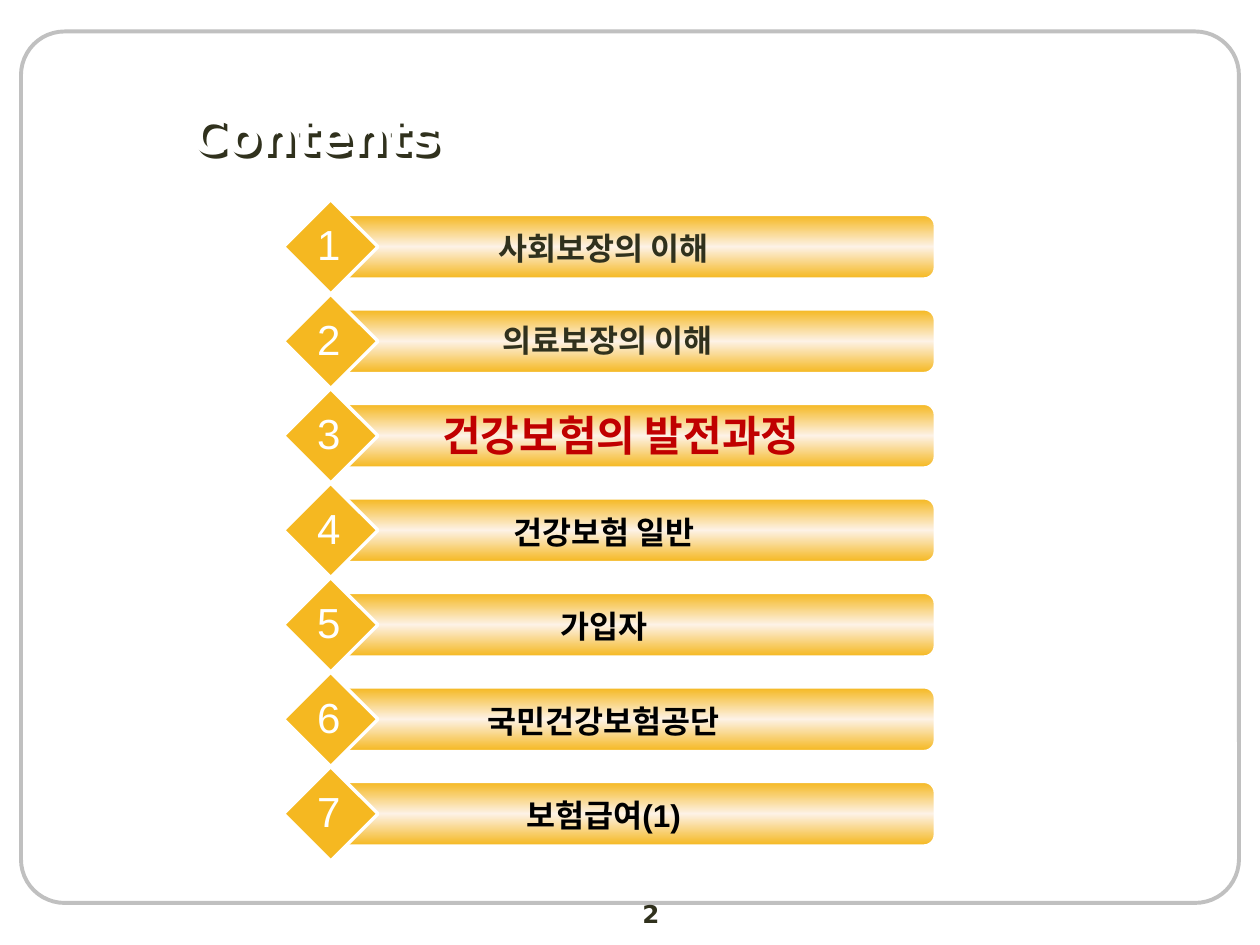
from copy import deepcopy
from typing import NamedTuple

from lxml import etree
from pptx import Presentation
from pptx.dml.color import RGBColor
from pptx.enum.shapes import MSO_SHAPE
from pptx.enum.text import MSO_ANCHOR, MSO_AUTO_SIZE, PP_ALIGN
from pptx.oxml.ns import qn
from pptx.util import Emu, Pt

ROUND, DIAMOND = MSO_SHAPE.ROUNDED_RECTANGLE, MSO_SHAPE.DIAMOND
CENTER, LEFT, MIDDLE = PP_ALIGN.CENTER, PP_ALIGN.LEFT, MSO_ANCHOR.MIDDLE
GROW = MSO_AUTO_SIZE.SHAPE_TO_FIT_TEXT
PX = 9525  # 96 px to the inch
GOLD, CREAM, WHITE, GRAY = "F5B821", "FDF2E6", "FFFFFF", "C0C0C0"
DARK, BLACK, RED = "30311D", "000000", "C00000"
SANS, HEAD, KOREAN = "Arial", "DejaVu Sans", "Noto Sans CJK KR"
TOP, STEP = 152, 72


class Box(NamedTuple):
    x: int
    y: int
    w: int
    h: int


class Font(NamedTuple):
    size: int
    color: str
    name: str = SANS
    bold: bool = False


class Item(NamedTuple):
    """One row; the y of its box is counted from the top of the row."""
    text: str
    font: Font
    box: Box = Box(280, 18, 360, 38)
    wrap: bool = True


PAST = Font(18, DARK, bold=True)
NEXT = Font(18, BLACK, bold=True)
ITEMS = [
    Item("사회보장의 이해", PAST),
    Item("의료보장의 이해", PAST, Box(368, 16, 190, 38), False),
    Item("건강보험의 발전과정", Font(24, RED, KOREAN, True), Box(293, 11, 360, 48)),
    Item("건강보험 일반", NEXT),
    Item("가입자", NEXT),
    Item("국민건강보험공단", NEXT),
    Item("보험급여(1)", NEXT),
]


def rgb(code: str) -> RGBColor:
    return RGBColor.from_string(code)


def emu(box: Box) -> list[Emu]:
    return [Emu(n * PX) for n in box]


def style(frame, text: str, font: Font, align=CENTER) -> None:
    frame.text = text
    par = frame.paragraphs[0]
    par.alignment = align
    run = par.runs[0]
    run.font.size, run.font.bold = Pt(font.size), font.bold
    run.font.name = font.name
    run.font.color.rgb = rgb(font.color)
    east = etree.SubElement(run.font._element, qn("a:ea"))
    east.set("typeface", KOREAN)


def label(slide, box: Box, text: str, font: Font, wrap=True, grow=True) -> None:
    frame = slide.shapes.add_textbox(*emu(box)).text_frame
    frame.word_wrap = wrap
    if grow:
        frame.auto_size = GROW
    style(frame, text, font)


def panel(slide, kind, box: Box, line: str, width: float):
    shape = slide.shapes.add_shape(kind, *emu(box))
    shape.shadow.inherit = False
    shape.fill.background()
    shape.line.color.rgb = rgb(line)
    shape.line.width = Pt(width)
    return shape


def shade(shape) -> None:
    """Fill with a vertical gold, cream, gold gradient."""
    fill = shape.fill
    fill.gradient()
    fill.gradient_angle = 90
    stops = shape._element.spPr.find(".//" + qn("a:gsLst"))
    stops.append(deepcopy(stops[0]))
    for stop, pos, code in zip(fill.gradient_stops, (0, 0.5, 1), (GOLD, CREAM, GOLD)):
        stop.position = pos
        stop.color.rgb = rgb(code)


def head(slide) -> None:
    title = slide.shapes.title
    title.left, title.top, title.width, title.height = emu(Box(136, 75, 768, 56))
    frame = title.text_frame
    frame.vertical_anchor = MIDDLE
    style(frame, "Contents", Font(28, WHITE, HEAD, True), LEFT)
    effects = etree.SubElement(title._element.spPr, qn("a:effectLst"))
    cast = etree.SubElement(effects, qn("a:outerShdw"), dist="35921", dir="2700000")
    etree.SubElement(cast, qn("a:srgbClr"), val=DARK)


def row(slide, num: int, item: Item) -> None:
    top = TOP + (num - 1) * STEP
    shade(panel(slide, ROUND, Box(256, top + 12, 456, 48), WHITE, 1))
    gem = panel(slide, DIAMOND, Box(216, top, 72, 72), WHITE, 2)
    gem.fill.solid()
    gem.fill.fore_color.rgb = rgb(GOLD)
    box = item.box._replace(y=top + item.box.y)
    label(slide, box, item.text, item.font, item.wrap)
    label(slide, Box(232, top + 10, 37, 48), str(num), Font(24, WHITE), False)


def main() -> None:
    deck = Presentation()
    deck.slide_width, deck.slide_height = Emu(960 * PX), Emu(720 * PX)
    slide = deck.slides.add_slide(deck.slide_layouts[5])
    frame = panel(slide, ROUND, Box(16, 24, 928, 664), GRAY, 2.25)
    frame.adjustments[0] = 0.05
    label(slide, Box(384, 680, 224, 26), "2", Font(14, DARK, HEAD, True), grow=False)
    head(slide)
    for num, item in enumerate(ITEMS, 1):
        row(slide, num, item)
    deck.save("out.pptx")


if __name__ == "__main__":
    main()
